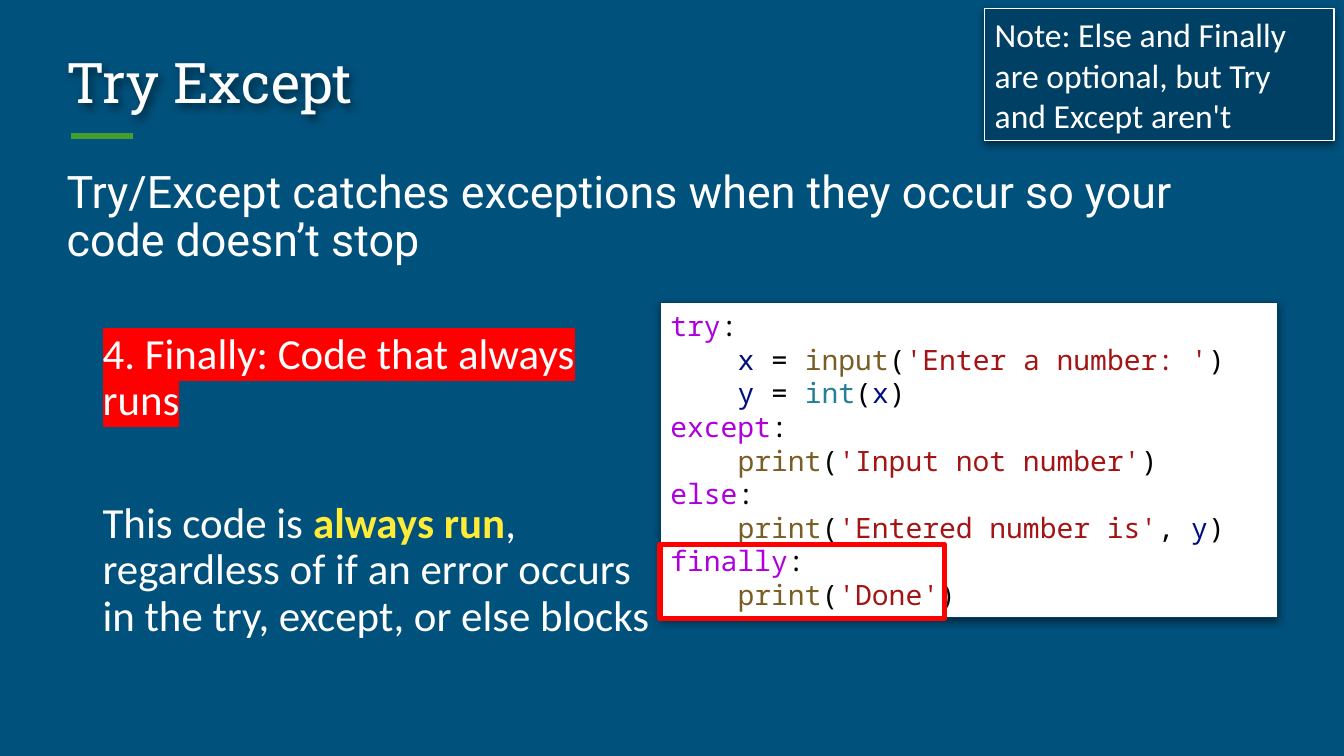
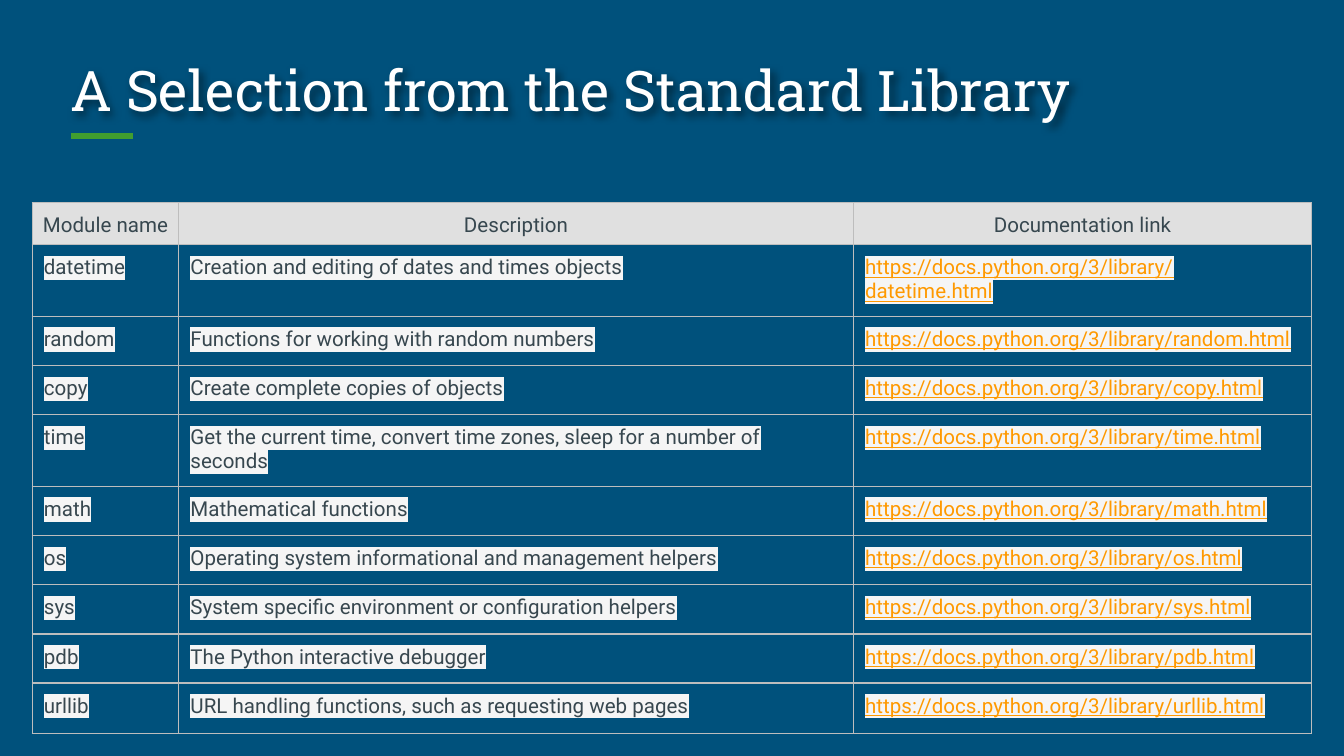
from lxml import etree
from pptx import Presentation, util as u
from pptx.dml.color import RGBColor
from pptx.enum import shapes, text
from pptx.oxml import parse_xml
from pptx.oxml.ns import qn

HUE = {
    "back": "00517C", "bar": "419E2F", "white": "FFFFFF", "navy": "004065",
    "red": "FF0000", "gold": "FFEB38", "black": "000000", "key": "AF00DB",
    "var": "001080", "call": "795E26", "type": "267F99", "str": "A31515",
    "slate": "37474F", "head": "E0E0E0", "pale": "F5F5F5", "link": "FF9900",
    "rule": "BDBDBD",
}
NS = 'xmlns:a="http://schemas.openxmlformats.org/drawingml/2006/main"'
SHADE = ('<a:effectLst {}><a:outerShdw blurRad="57150" dist="{}" dir="{}" algn="ctr" '
         'rotWithShape="0"><a:srgbClr val="000000"><a:alpha val="50000"/></a:srgbClr>'
         '</a:outerShdw></a:effectLst>')
EDGE = '<a:{} {} w="9525"><a:solidFill><a:srgbClr val="{}"/></a:solidFill></a:{}>'
MID, LOW, TOP = text.MSO_ANCHOR.MIDDLE, text.MSO_ANCHOR.BOTTOM, text.MSO_ANCHOR.TOP
SLAB = {"name": "Roboto Slab", "size": u.Pt(30)}
MONO = {"name": "Noto Sans Mono", "size": u.Pt(15)}
SIDES = ("margin_left", "margin_top", "margin_right", "margin_bottom")


def box(page, at, fill=None, line=None, wide=0.75, shade=None, anchor=TOP, pad=(0.19, 0.11)):
    spot = [u.Cm(n) for n in at]
    if line:
        item = page.shapes.add_shape(shapes.MSO_SHAPE.RECTANGLE, *spot)
        item.line.color.rgb = RGBColor.from_string(HUE[line])
        item.line.width = u.Pt(wide)
    else:
        item = page.shapes.add_textbox(*spot)
    if fill:
        item.fill.solid()
        item.fill.fore_color.rgb = RGBColor.from_string(HUE[fill])
    else:
        item.fill.background()
    item.shadow.inherit = False
    if shade:
        props = item._element.spPr
        props.remove(props.find(qn("a:effectLst")))
        props.append(parse_xml(SHADE.format(NS, *shade)))
    frame = item.text_frame
    frame.word_wrap = True
    frame.vertical_anchor = anchor
    for side, gap in zip(SIDES, pad * 2):
        setattr(frame, side, u.Cm(gap))
    frame.paragraphs[0].alignment = text.PP_ALIGN.LEFT
    return frame


def put(para, words, hue, form, mark=None, **plan):
    for key, val in plan.items():
        setattr(para, key, val)
    run = para.add_run()
    run.text = words
    run.font.color.rgb = RGBColor.from_string(HUE[hue])
    for key, val in form.items():
        setattr(run.font, key, val)
    if mark:
        tag = etree.Element(qn("a:highlight"))
        etree.SubElement(tag, qn("a:srgbClr")).set("val", HUE[mark])
        run.font._element.find(qn("a:solidFill")).addnext(tag)


deck = Presentation()
deck.slide_width, deck.slide_height = u.Cm(25.4), u.Cm(14.29)

pages = []
for name, anchor, pad, gap in (
    ("Try Except", MID, (0.19, 0.11), 0.9),
    ("A Selection from the Standard Library", LOW, (0.26, 0.24), 1.0),
):
    page = deck.slides.add_slide(deck.slide_layouts[6])
    page.background.fill.solid()
    page.background.fill.fore_color.rgb = RGBColor.from_string(HUE["back"])
    bar = page.shapes.add_connector(
        shapes.MSO_CONNECTOR.STRAIGHT, u.Cm(1.35), u.Cm(2.57), u.Cm(2.51), u.Cm(2.57))
    bar.line.color.rgb = RGBColor.from_string(HUE["bar"])
    bar.line.width = u.Pt(3)
    etree.SubElement(bar._element.spPr, qn("a:effectLst"))
    title = box(page, (1.07, 0.66, 23.24, 1.9), shade=(25400, 2700000), anchor=anchor, pad=pad)
    put(title.paragraphs[0], name, "white", SLAB, line_spacing=gap)
    pages.append(page)

page = pages[0]
drop = (19050, 5400000)
code = box(page, (12.48, 5.72, 11.66, 5.95), "white", "navy", shade=drop, anchor=MID)
KIND = {"try": "key", "except": "key", "else": "key", "finally": "key", "x": "var",
        "y": "var", "input": "call", "print": "call", "int": "type"}
LINES = (
    "try|:",
    ">x| = |input|(|'Enter a number: '|)",
    ">y| = |int|(|x|)",
    "except|:",
    ">print|(|'Input not number'|)",
    "else|:",
    ">print|(|'Entered number is'|, |y|)",
    "finally|:",
    ">print|(|'Done'|)",
)
for row, line in enumerate(LINES):
    para = code.paragraphs[0] if row == 0 else code.add_paragraph()
    para.alignment = text.PP_ALIGN.LEFT
    if line.startswith(">"):
        para._p.get_or_add_pPr().set("marL", str(u.Pt(36)))
    for part in line.lstrip(">").split("|"):
        hue = "str" if part.startswith("'") else KIND.get(part, "black")
        put(para, part, hue, MONO)

lead = box(page, (1.07, 3.1, 23.24, 9.58))
put(lead.paragraphs[0], "Try/Except catches exceptions when they occur so your code doesn’t stop",
    "white", {"name": "Roboto", "size": u.Pt(24)}, line_spacing=0.9, space_after=u.Pt(12))

body = {"name": "Calibri", "size": u.Pt(23)}
step = box(page, (1.75, 6.17, 10.95, 6.5))
put(step.paragraphs[0], "4. Finally: Code that always runs", "white", body, "red",
    line_spacing=0.9)
para = step.add_paragraph()
put(para, "This code is ", "white", body, line_spacing=0.9, space_before=u.Pt(41))
put(para, "always run", "gold", {**body, "bold": True})
put(para, ", regardless of if an error occurs in the try, except, or else blocks", "white", body)

box(page, (12.47, 10.29, 5.38, 1.4), line="red", wide=3)
note = box(page, (18.61, 0.16, 6.6, 2.5), "navy", "white", shade=drop)
put(note.paragraphs[0], "Note: Else and Finally are optional, but Try and Except aren't",
    "white", {"name": "Calibri", "size": u.Pt(18)})

page = pages[1]
MODS = {
    "datetime": "Creation and editing of dates and times objects",
    "random": "Functions for working with random numbers",
    "copy": "Create complete copies of objects",
    "time": "Get the current time, convert time zones, sleep for a number of seconds",
    "math": "Mathematical functions",
    "os": "Operating system informational and management helpers",
    "sys": "System specific environment or configuration helpers",
    "pdb": "The Python interactive debugger",
    "urllib": "URL handling functions, such as requesting web pages",
}
rows = [("Module name", "Description", "Documentation link")]
rows += [(mod, use, f"https://docs.python.org/3/library/{mod}.html") for mod, use in MODS.items()]
wide = (2.77, 12.75, 8.66)
high = [0.79] + [0.93] * 8 + [0.95]
grid = page.shapes.add_table(len(rows), 3, u.Cm(0.61), u.Cm(3.83),
                             u.Cm(sum(wide)), u.Cm(sum(high))).table
grid.first_row = grid.horz_banding = False
grid._tbl.tblPr.find(qn("a:tableStyleId")).text = "{2D5ABB26-0587-4C30-8999-92F81FD0307C}"
for col, size in zip(grid.columns, wide):
    col.width = u.Cm(size)
for row, size in zip(grid.rows, high):
    row.height = u.Cm(size)

cell_form = {"name": "Roboto", "size": u.Pt(11)}
for r, row in enumerate(rows):
    for c, words in enumerate(row):
        cell = grid.cell(r, c)
        for side, gap in zip(SIDES, (0.22, 0.21) * 2):
            setattr(cell, side, u.Cm(gap if r else 0.13))
        para = cell.text_frame.paragraphs[0]
        if r == 0:
            cell.fill.solid()
            cell.fill.fore_color.rgb = RGBColor.from_string(HUE["head"])
            put(para, words, "slate", cell_form,
                alignment=text.PP_ALIGN.CENTER, line_spacing=1.15)
        else:
            cell.fill.background()
            link = c == 2
            put(para, words, "link" if link else "slate",
                {**cell_form, "underline": link}, "pale")
        props = cell._tc.get_or_add_tcPr()
        for i, tag in enumerate(("lnL", "lnR", "lnT", "lnB")):
            props.insert(i, parse_xml(EDGE.format(tag, NS, HUE["rule"], tag)))

deck.save("out.pptx")
